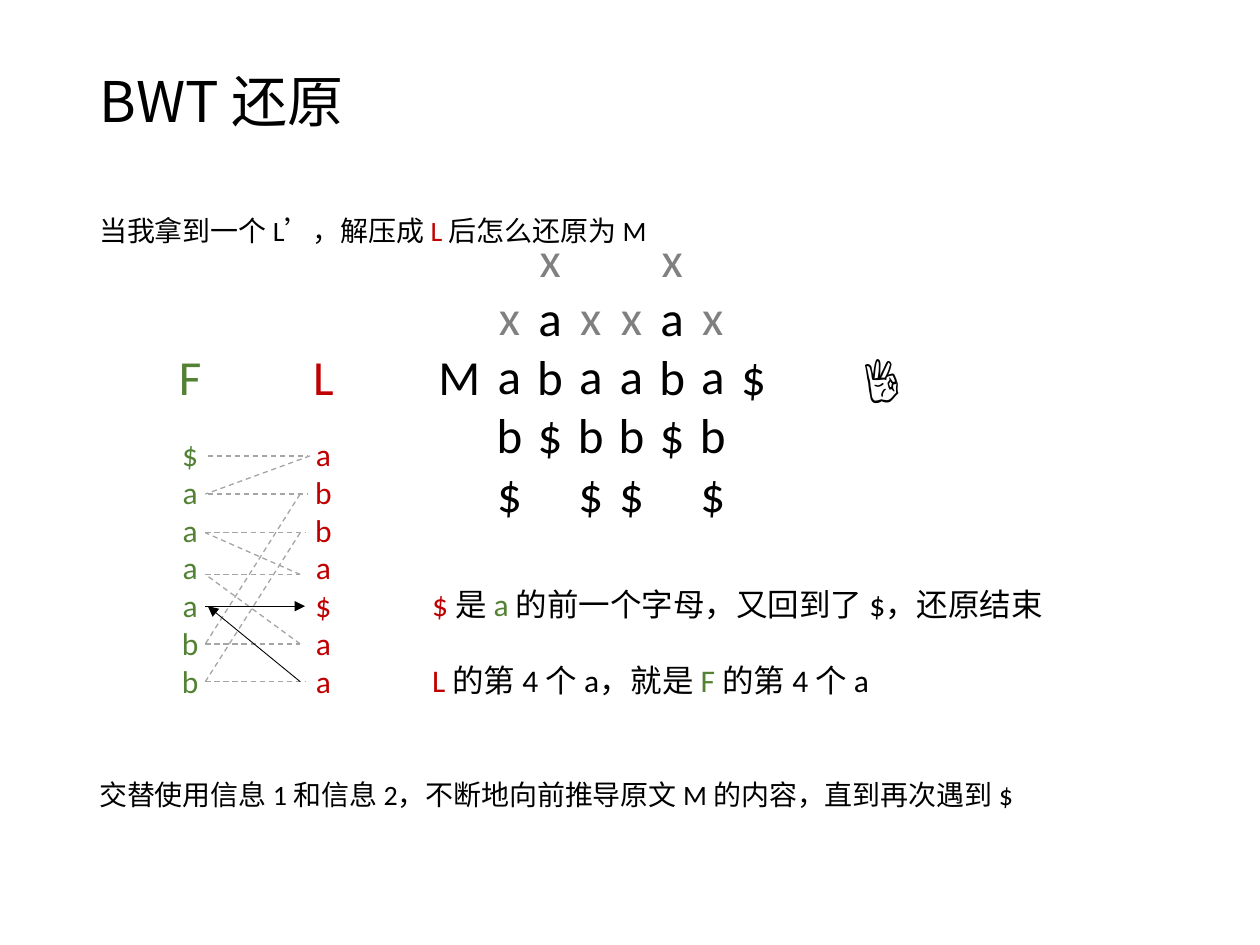
import pptx
import pptx.util
import pptx.dml.color
import pptx.enum.dml
import pptx.enum.shapes
import pptx.enum.text
import pptx.oxml.ns
import lxml.etree

Cm, Pt = pptx.util.Cm, pptx.util.Pt
RGBColor = pptx.dml.color.RGBColor
ALIGN = pptx.enum.text.PP_ALIGN
AUTO_SIZE = pptx.enum.text.MSO_AUTO_SIZE

BLACK = RGBColor(0x00, 0x00, 0x00)
RED = RGBColor(0xC0, 0x00, 0x00)
GREEN = RGBColor(0x54, 0x82, 0x35)
GREY = RGBColor(0x80, 0x80, 0x80)
LINK_GREY = RGBColor(0xA5, 0xA5, 0xA5)

LATIN, CJK = "Calibri", "Noto Sans CJK SC"

# Height of each row, and where its link leaves F and reaches L (cm)
ROWS = [
    (9.19, 4.19, 6.2),
    (9.96, 4.19, 6.2),
    (10.74, 4.14, 6.15),
    (11.58, 4.14, 6.05),
    (12.22, 4.14, 6.15),
    (12.98, 4.14, 6.05),
    (13.74, 4.14, 6.15),
]
# Row in L -> row in F holding the same letter
SAME_LETTER = {0: 1, 1: 5, 2: 6, 3: 2, 5: 3}


def apply_format(target, values):
    for name, value in values.items():
        setattr(target, name, value)


def add_run(paragraph, text, size, color, latin=LATIN):
    run = paragraph.add_run()
    run.text = text
    apply_format(run.font, {"size": Pt(size), "name": latin})
    run.font.color.rgb = color
    east_asian = lxml.etree.SubElement(
        run._r.get_or_add_rPr(), pptx.oxml.ns.qn("a:ea"))
    east_asian.set("typeface", CJK)


def add_text_frame(slide, left, top, width, height, wrap):
    frame = slide.shapes.add_textbox(
        Cm(left), Cm(top), Cm(width), Cm(height)).text_frame
    apply_format(frame, {"word_wrap": wrap,
                         "auto_size": AUTO_SIZE.SHAPE_TO_FIT_TEXT})
    return frame


def add_sentence(slide, box, parts, size, line_spacing=1.0):
    """One paragraph made of (text, colour) parts."""
    paragraph = add_text_frame(slide, *box, wrap=True).paragraphs[0]
    paragraph.line_spacing = line_spacing
    for text, color in parts:
        add_run(paragraph, text, size, color)


def add_letter_column(slide, box, head, letters, head_color, color,
                      size=28, gap=0):
    """A head letter with one centred letter per line below it."""
    frame = add_text_frame(slide, *box, wrap=False)
    frame.paragraphs[0].alignment = ALIGN.CENTER
    add_run(frame.paragraphs[0], head, 28, head_color)
    for row, letter in enumerate(letters):
        paragraph = frame.add_paragraph()
        paragraph.alignment = ALIGN.CENTER
        if row == 0:
            paragraph.space_before = Pt(gap)
        add_run(paragraph, letter, size, color)


def add_line(slide, start, end, color, width):
    connector = slide.shapes.add_connector(
        pptx.enum.shapes.MSO_CONNECTOR.STRAIGHT,
        Cm(start[0]), Cm(start[1]), Cm(end[0]), Cm(end[1]))
    connector.line.color.rgb = color
    connector.line.width = Pt(width)
    lxml.etree.SubElement(connector._element.spPr,
                          pptx.oxml.ns.qn("a:effectLst"))
    return connector


def add_link(slide, start, end):
    link = add_line(slide, start, end, LINK_GREY, 0.75)
    link.line.dash_style = pptx.enum.dml.MSO_LINE.DASH


def add_arrow(slide, start, end):
    arrow = add_line(slide, start, end, BLACK, 0.5)
    tip = lxml.etree.SubElement(arrow.line._get_or_add_ln(),
                                pptx.oxml.ns.qn("a:tailEnd"))
    tip.set("type", "triangle")


def add_title(slide):
    title = slide.shapes.title
    apply_format(title, {"left": Cm(1.75), "top": Cm(1.02),
                         "width": Cm(21.9), "height": Cm(2.16)})
    apply_format(title.text_frame, {
        "vertical_anchor": pptx.enum.text.MSO_ANCHOR.MIDDLE,
        "auto_size": AUTO_SIZE.NONE, "word_wrap": True})
    paragraph = title.text_frame.paragraphs[0]
    apply_format(paragraph, {"alignment": ALIGN.LEFT, "line_spacing": 0.9})
    add_run(paragraph, "BWT 还原", 32, BLACK, CJK)


def add_row_links(slide):
    for row, (y, f_x, l_x) in enumerate(ROWS):
        if row != 4:
            add_link(slide, (f_x, y), (l_x, y))
    for l_row, f_row in SAME_LETTER.items():
        l_x = 6.25 if l_row == 0 else 6.05
        add_link(slide, (l_x, ROWS[l_row][0]), (4.14, ROWS[f_row][0]))
    # Current step
    y = ROWS[4][0]
    add_arrow(slide, (4.14, y), (6.15, y))
    add_arrow(slide, (6.05, ROWS[6][0]), (4.19, y))


def main():
    deck = pptx.Presentation()
    apply_format(deck, {"slide_width": Cm(25.4), "slide_height": Cm(19.05)})
    slide = deck.slides.add_slide(deck.slide_layouts[5])
    add_title(slide)

    # Question
    add_sentence(slide, (1.75, 3.84, 21.9, 1.17),
                 [("当我拿到一个 L’，解压成 ", BLACK), ("L ", RED),
                  ("后怎么还原为 M", BLACK)], 16, 1.5)

    # First and last columns of the matrix
    add_letter_column(slide, (6.05, 6.86, 0.94, 7.7), "L", "abba$aa",
                      RED, RED, size=18, gap=17)
    add_letter_column(slide, (3.35, 6.86, 0.97, 7.44), "F", "$aaaabb",
                      GREEN, GREEN, size=18, gap=17)
    add_row_links(slide)

    # Recovered text M, each letter standing in its own slot strip
    add_sentence(slide, (8.59, 6.86, 1.68, 1.45), [("M", BLACK)], 28)
    for position, letter in enumerate("abaaba"):
        top = 5.66 if letter == "a" else 4.48
        add_letter_column(slide, (9.75 + 0.82 * position, top, 1.04, 5.05),
                          "x", "ab$", GREY, BLACK)
    add_letter_column(slide, (14.68, 6.86, 1.02, 1.45), "$", "", BLACK, BLACK)
    add_sentence(slide, (17.15, 6.86, 1.52, 1.45), [("👌", BLACK)], 28)

    # Explanation of the current step
    add_sentence(slide, (8.46, 11.66, 12.95, 1.02),
                 [("$ ", RED), ("是 ", BLACK), ("a ", GREEN),
                  ("的前一个字母，又回到了 $，还原结束", BLACK)], 18)
    add_sentence(slide, (8.46, 13.21, 9.47, 1.02),
                 [("L ", RED), ("的第 4 个 a，就是 ", BLACK), ("F ", GREEN),
                  ("的第 4 个 a", BLACK)], 18)

    # Conclusion
    add_sentence(slide, (1.75, 15.21, 19.02, 1.17),
                 [("交替使用信息 1 和信息 2，不断地向前推导原文 M 的内容，"
                   "直到再次遇到 $", BLACK)], 16, 1.5)

    deck.save("out.pptx")


if __name__ == "__main__":
    main()
